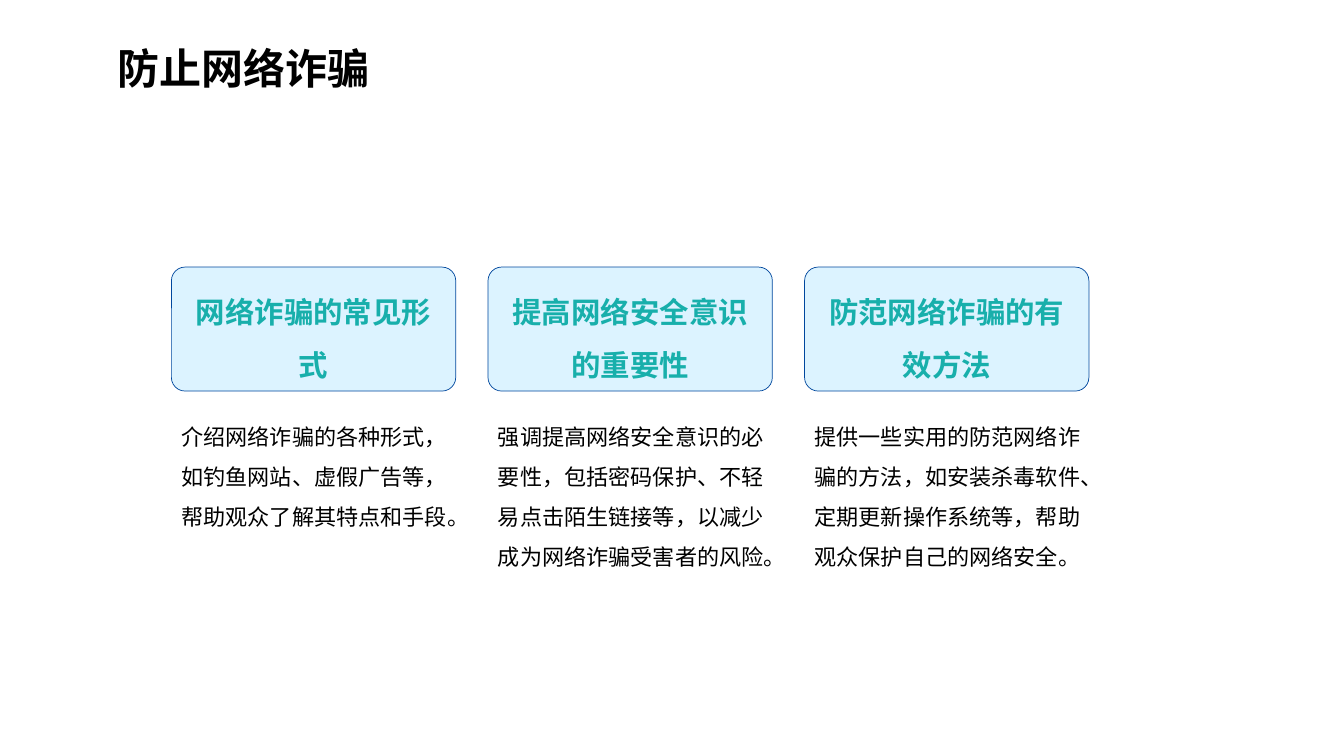
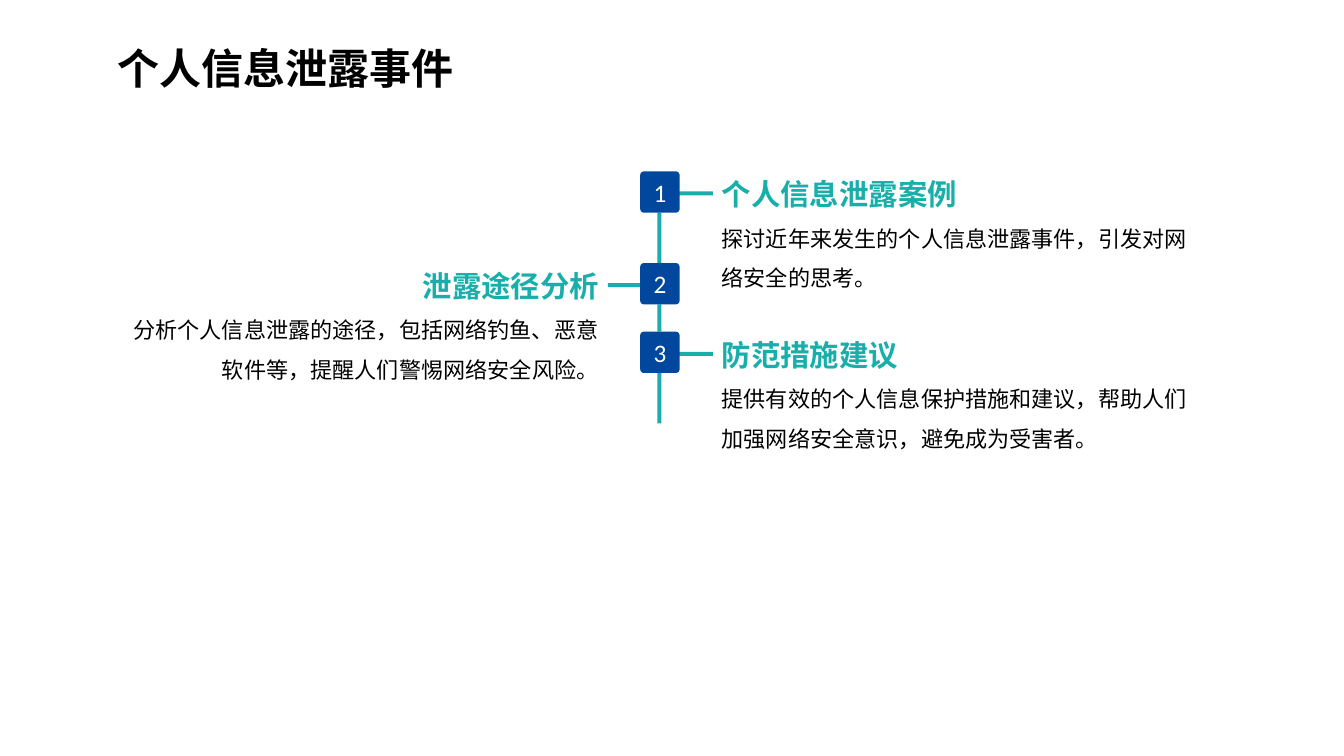
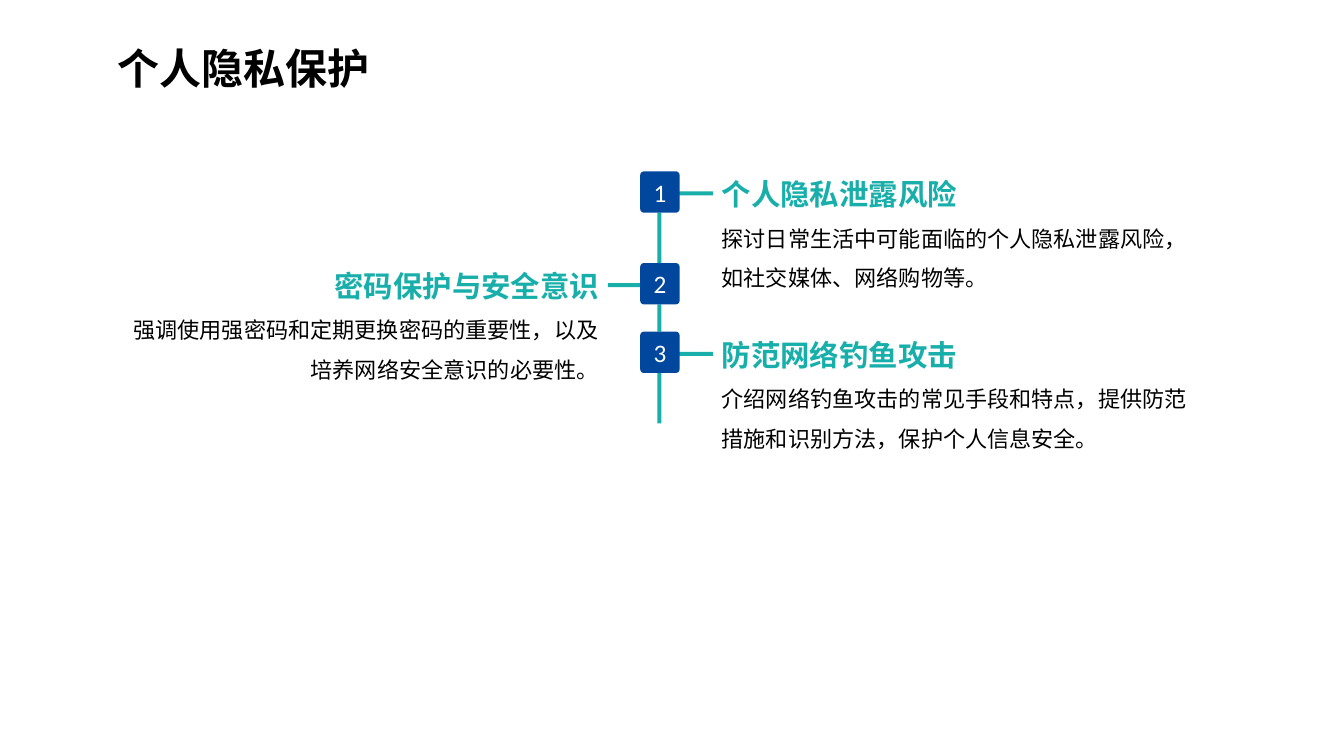
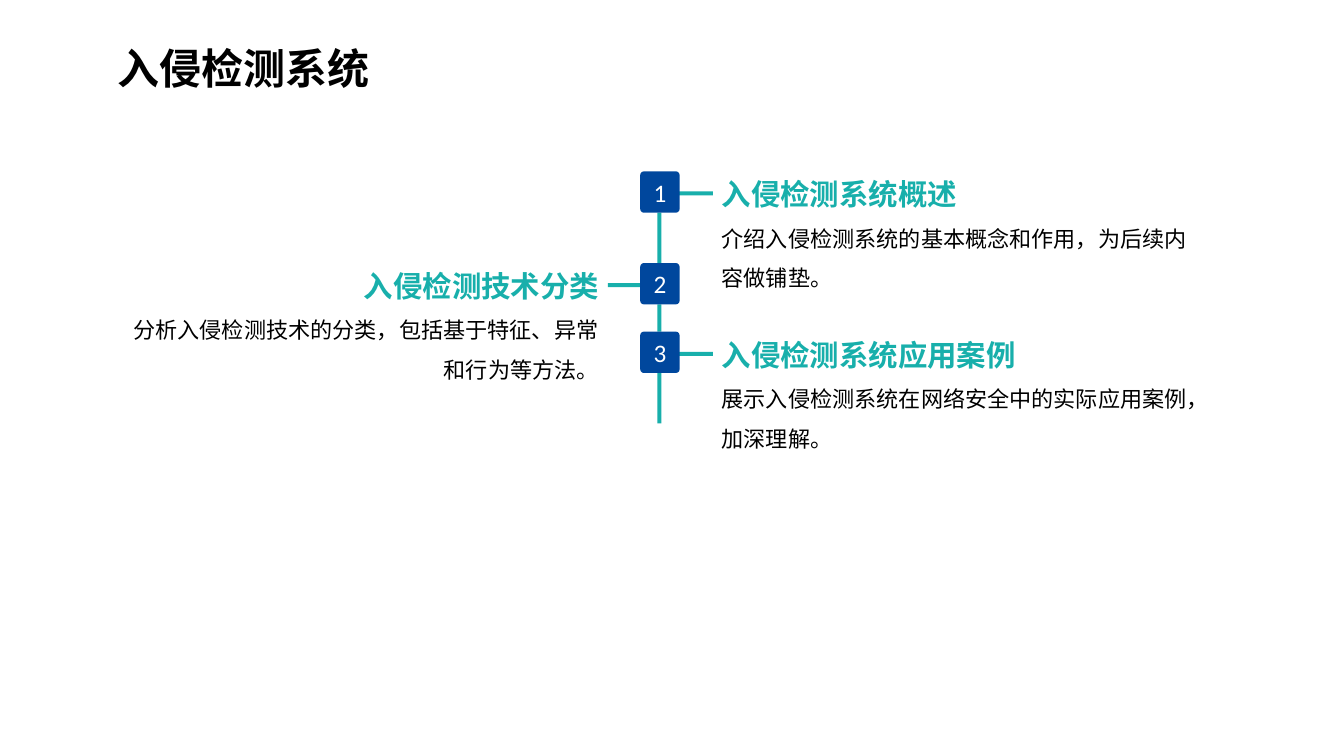
import pptx
import pptx.dml.color
import pptx.enum.shapes
import pptx.enum.text
import pptx.oxml.ns
import pptx.util
from lxml import etree

Inches = pptx.util.Inches
Pt = pptx.util.Pt
ALIGN = pptx.enum.text.PP_ALIGN
SHAPE = pptx.enum.shapes.MSO_SHAPE

COLORS = {"ink": "000000", "teal": "18AFAB", "navy": "00479D", "sky": "DCF3FF", "white": "FFFFFF"}
CJK_FONT = "Noto Sans CJK SC"
STYLES = {
    "title": {"size": 30, "color": "ink", "bold": True, "leading": 54},
    "card": {"size": 21, "color": "teal", "bold": True, "leading": 37.8},
    "heading": {"size": 21, "color": "teal", "bold": True, "leading": 25.2},
    "body": {"size": 15.8, "color": "ink", "bold": False, "leading": 28.4},
    "number": {"size": 18, "color": "white", "bold": False, "leading": None, "font": "Calibri"},
}

CARDS = {
    "title": "防止网络诈骗",
    "items": [
        ("网络诈骗的常见形式", "介绍网络诈骗的各种形式，如钓鱼网站、虚假广告等，帮助观众了解其特点和手段。"),
        ("提高网络安全意识的重要性", "强调提高网络安全意识的必要性，包括密码保护、不轻易点击陌生链接等，以减少成为网络诈骗受害者的风险。"),
        ("防范网络诈骗的有效方法", "提供一些实用的防范网络诈骗的方法，如安装杀毒软件、定期更新操作系统等，帮助观众保护自己的网络安全。"),
    ],
}
TIMELINES = [
    {
        "title": "个人信息泄露事件",
        "items": [
            ("个人信息泄露案例", "探讨近年来发生的个人信息泄露事件，引发对网络安全的思考。"),
            ("泄露途径分析", "分析个人信息泄露的途径，包括网络钓鱼、恶意软件等，提醒人们警惕网络安全风险。"),
            ("防范措施建议", "提供有效的个人信息保护措施和建议，帮助人们加强网络安全意识，避免成为受害者。"),
        ],
    },
    {
        "title": "个人隐私保护",
        "items": [
            ("个人隐私泄露风险", "探讨日常生活中可能面临的个人隐私泄露风险，如社交媒体、网络购物等。"),
            ("密码保护与安全意识", "强调使用强密码和定期更换密码的重要性，以及培养网络安全意识的必要性。"),
            ("防范网络钓鱼攻击", "介绍网络钓鱼攻击的常见手段和特点，提供防范措施和识别方法，保护个人信息安全。"),
        ],
    },
    {
        "title": "入侵检测系统",
        "items": [
            ("入侵检测系统概述", "介绍入侵检测系统的基本概念和作用，为后续内容做铺垫。"),
            ("入侵检测技术分类", "分析入侵检测技术的分类，包括基于特征、异常和行为等方法。"),
            ("入侵检测系统应用案例", "展示入侵检测系统在网络安全中的实际应用案例，加深理解。"),
        ],
    },
]


def color(name):
    """Return the named palette colour."""
    return pptx.dml.color.RGBColor.from_string(COLORS[name])


def write(shape, lines, align=ALIGN.LEFT):
    """Fill a shape with (text, style name) paragraphs."""
    frame = shape.text_frame
    frame.word_wrap = True
    frame.vertical_anchor = pptx.enum.text.MSO_ANCHOR.MIDDLE
    for index, (text, style_name) in enumerate(lines):
        style = STYLES[style_name]
        para = frame.add_paragraph() if index else frame.paragraphs[0]
        para.text = text
        para.alignment = align
        if style["leading"]:
            para.line_spacing = Pt(style["leading"])
        font = para.font
        font.size = Pt(style["size"])
        font.bold = style["bold"]
        font.color.rgb = color(style["color"])
        font.name = style.get("font", CJK_FONT)
        properties = para._p.pPr.find(pptx.oxml.ns.qn("a:defRPr"))
        etree.SubElement(properties, pptx.oxml.ns.qn("a:ea")).set("typeface", font.name)


def add_text(page, left, top, width, height, lines, align=ALIGN.LEFT):
    """Place a wrapped text box."""
    box = page.shapes.add_textbox(Inches(left), Inches(top), Inches(width), Inches(height))
    write(box, lines, align)


def add_block(page, kind, left, top, width, height, fill, outline=None, corner=None):
    """Place a flat filled shape and return it."""
    block = page.shapes.add_shape(kind, Inches(left), Inches(top), Inches(width), Inches(height))
    block.shadow.inherit = False
    block.fill.solid()
    block.fill.fore_color.rgb = color(fill)
    if outline:
        block.line.color.rgb = color(outline)
        block.line.width = Pt(0.5)
    else:
        block.line.fill.background()
    if corner:
        block.adjustments[0] = corner
    return block


def add_page(deck, title):
    """Add a blank page with its title."""
    page = deck.slides.add_slide(deck.slide_layouts[6])
    add_text(page, 1.07, 0.12, 10.25, 0.85, [(title, "title")])
    return page


def add_card(page, left, top, heading, body):
    """Place a heading card with its text beneath."""
    rows = 4 if len(body) > 40 else 3
    add_text(page, left, top + 1.37, 3, 0.1 + rows * 0.395, [(body, "body")])
    card = add_block(page, SHAPE.ROUNDED_RECTANGLE, left, top, 2.82, 1.23, "sky", "navy", 0.11)
    write(card, [(heading, "card")], ALIGN.CENTER)


def add_cards_page(deck, content):
    """Build a page with a row of cards."""
    page = add_page(deck, content["title"])
    for index, (heading, body) in enumerate(content["items"]):
        add_card(page, 1.7 + index * 3.14, 2.65, heading, body)


def add_step(page, left, top, stem, number, heading, body):
    """Place a numbered node with its stem, branch and text; even steps face left."""
    faces_left = number % 2 == 0
    text_left, branch_left = (left - 5.28, left - 0.32) if faces_left else (left + 0.71, left + 0.38)
    add_text(page, text_left, top, 4.97, 1.24, [(heading, "heading"), (body, "body")],
             ALIGN.RIGHT if faces_left else ALIGN.LEFT)
    add_block(page, SHAPE.RECTANGLE, left + 0.17, top + 0.41, 0.04, stem, "teal")
    add_block(page, SHAPE.RECTANGLE, branch_left, top + 0.2, 0.34, 0.04, "teal")
    node = add_block(page, SHAPE.ROUNDED_RECTANGLE, left, top, 0.39, 0.41, "navy", corner=0.09)
    frame = node.text_frame
    frame.margin_left = frame.margin_right = frame.margin_top = frame.margin_bottom = 0
    write(node, [(str(number), "number")], ALIGN.CENTER)


def add_timeline_page(deck, content):
    """Build a page with a vertical numbered timeline."""
    page = add_page(deck, content["title"])
    top = 1.7
    stems = [0.5, 0.27, 0.5]
    for number, (stem, (heading, body)) in enumerate(zip(stems, content["items"]), 1):
        add_step(page, 6.35, top, stem, number, heading, body)
        top += 0.41 + stem


def main():
    """Build and save the deck."""
    deck = pptx.Presentation()
    deck.slide_width = Inches(13.33)
    deck.slide_height = Inches(7.5)
    add_cards_page(deck, CARDS)
    for content in TIMELINES:
        add_timeline_page(deck, content)
    deck.save("out.pptx")


if __name__ == "__main__":
    main()
